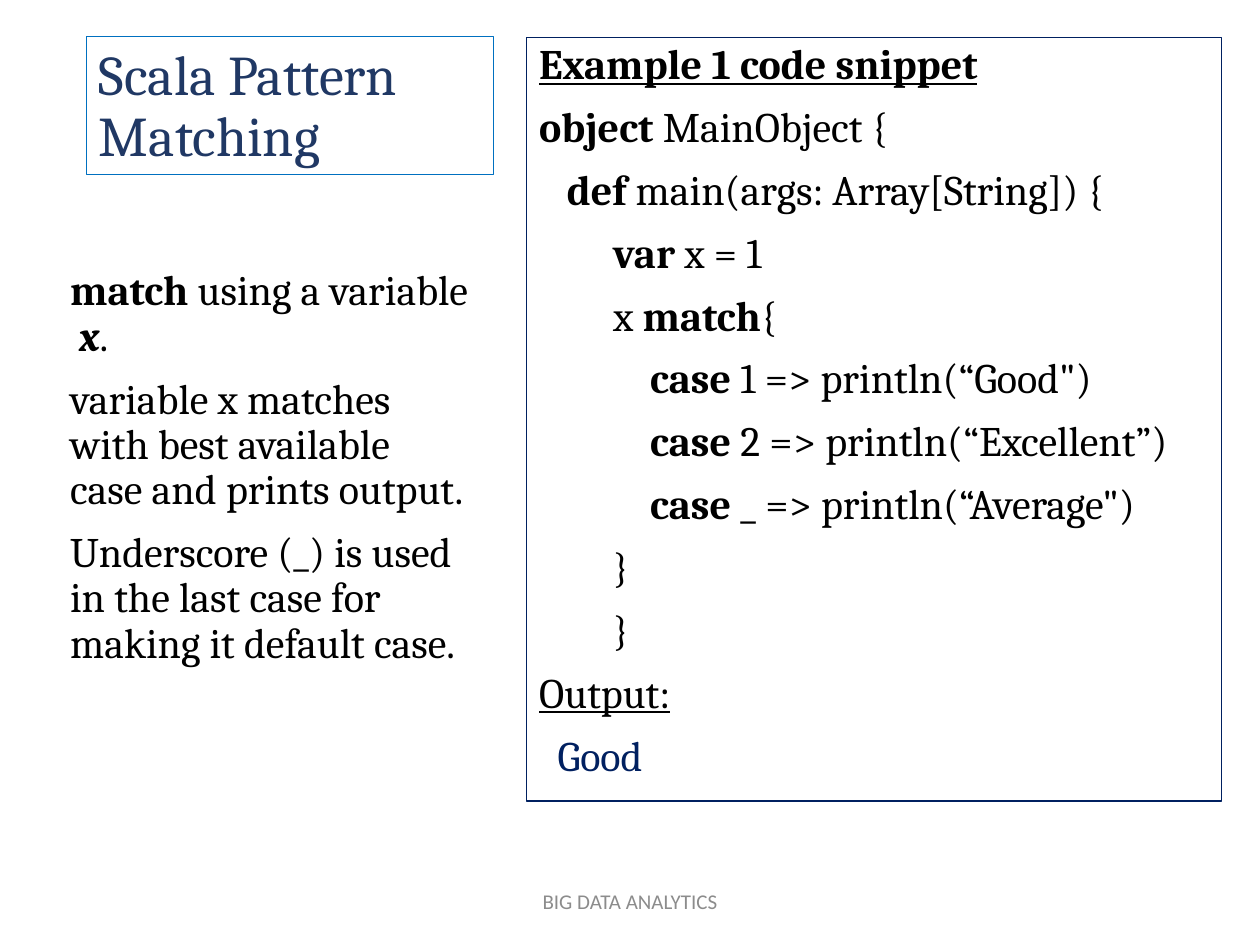
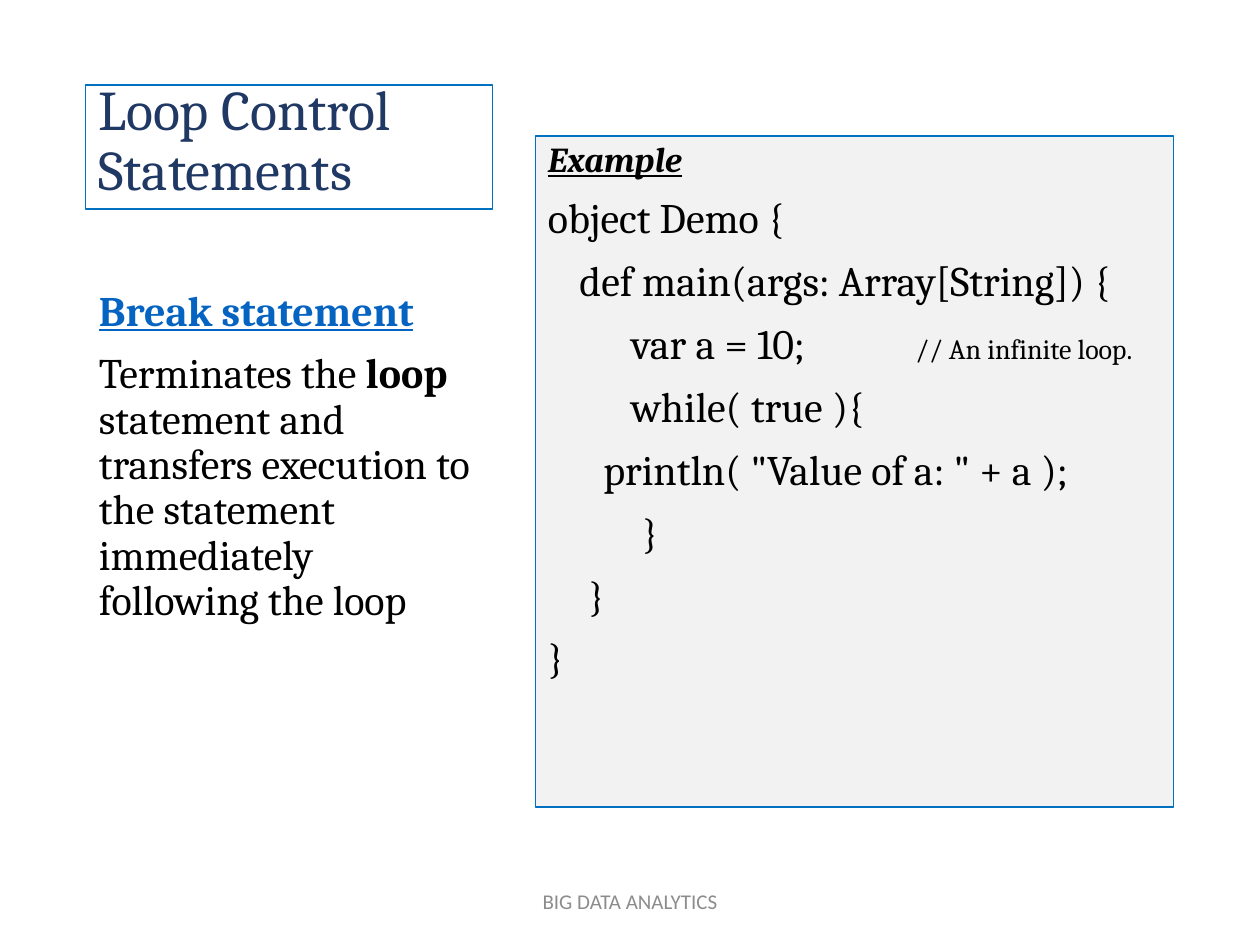
import pptx
import pptx.util
import pptx.dml.color
import pptx.enum.shapes
import pptx.enum.text

Pt = pptx.util.Pt
RGBColor = pptx.dml.color.RGBColor
ANCHOR = pptx.enum.text.MSO_ANCHOR
ALIGN = pptx.enum.text.PP_ALIGN

BLACK = RGBColor(0x00, 0x00, 0x00)
NAVY = RGBColor(0x00, 0x20, 0x60)
TITLE_NAVY = RGBColor(0x20, 0x38, 0x64)
BORDER_BLUE = RGBColor(0x00, 0x70, 0xC0)
HEADING_BLUE = RGBColor(0x05, 0x63, 0xC1)
PANEL_GREY = RGBColor(0xF2, 0xF2, 0xF2)
FOOTER_GREY = RGBColor(0x8C, 0x8C, 0x8C)

BODY_FONT = {"name": "Cambria", "size": Pt(24), "color": BLACK}
TITLE_FONT = {"name": "Cambria", "size": Pt(32), "color": TITLE_NAVY}
FOOTER_FONT = {"name": "Calibri", "size": Pt(12), "color": FOOTER_GREY}
BOLD = {"bold": True}
UNDERLINE = {"underline": True}
HEADING = BOLD | UNDERLINE

MATCH_CODE = [
    [("Example 1 code snippet", HEADING)],
    [("object", BOLD), " MainObject {"],
    ["   ", ("def", BOLD), " main(args: Array[String]) {"],
    ["        ", ("var", BOLD), " x = 1"],
    ["        x ", ("match", BOLD), "{"],
    ["            ", ("case", BOLD), " 1 => println(“Good\")"],
    ["            ", ("case", BOLD), " 2 => println(“Excellent”)"],
    ["            ", ("case", BOLD), " _ => println(“Average\")"],
    ["        }"],
    ["        }"],
    [("Output:", UNDERLINE)],
    [("  Good", {"color": NAVY})],
]
MATCH_NOTES = [
    [("match", BOLD), " using a variable  ", ("x", BOLD | {"italic": True}), "."],
    ["variable x matches with best available case and prints output."],
    ["Underscore (_) is used in the last case for making it default case."],
]
LOOP_CODE = [
    [("Example", HEADING | {"italic": True, "size": Pt(20)})],
    ["object Demo {"],
    ["\tdef main(args: Array[String]) {"],
    ["         var a = 10;            ", ("// An infinite loop.", {"size": Pt(16)})],
    ["         while( true ){"],
    ["      println( \"Value of a: \" + a );"],
    ["  \t\t}"],
    ["\t }"],
    ["}"],
]
BREAK_NOTES = [
    [("Break statement", HEADING | {"color": HEADING_BLUE})],
    ["Terminates the ", ("loop", BOLD),
     " statement and transfers execution to the statement immediately following the loop"],
]


def set_attributes(target, values):
    """Set each named attribute of the target."""
    for name, value in values.items():
        setattr(target, name, value)


def add_run(paragraph, text, values):
    """Add one run with the given font values."""
    run = paragraph.add_run()
    run.text = text
    font_values = dict(values)
    run.font.color.rgb = font_values.pop("color")
    set_attributes(run.font, font_values)


def write_paragraphs(shape, paragraphs, font, anchor=ANCHOR.TOP, hanging=0, **layout):
    """Fill a shape with paragraphs, each a list of plain or styled runs."""
    frame = shape.text_frame
    set_attributes(frame, {"word_wrap": True, "vertical_anchor": anchor})
    layout = {"alignment": ALIGN.LEFT, "line_spacing": 0.9} | layout
    for index, runs in enumerate(paragraphs):
        paragraph = frame.add_paragraph() if index else frame.paragraphs[0]
        set_attributes(paragraph, layout | {"space_before": Pt(10 if index else 0)})
        if hanging:
            properties = paragraph._p.get_or_add_pPr()
            properties.set("marL", str(Pt(hanging)))
            properties.set("indent", str(-Pt(hanging)))
        for run in runs:
            text, style = (run, {}) if isinstance(run, str) else run
            add_run(paragraph, text, font | style)


def add_frame(slide, bounds, border, fill=None):
    """Add a thin bordered rectangle."""
    shape = slide.shapes.add_shape(
        pptx.enum.shapes.MSO_SHAPE.RECTANGLE, *map(Pt, bounds))
    shape.shadow.inherit = False
    shape.line.color.rgb = border
    shape.line.width = Pt(0.75)
    if fill is None:
        shape.fill.background()
    else:
        shape.fill.solid()
        shape.fill.fore_color.rgb = fill
    return shape


def add_title(slide, text, bounds):
    """Add the framed slide title."""
    frame = add_frame(slide, bounds, BORDER_BLUE)
    write_paragraphs(frame, [[text]], TITLE_FONT, ANCHOR.BOTTOM)


def add_code(slide, lines, bounds, border, fill=None):
    """Add a framed code listing."""
    write_paragraphs(add_frame(slide, bounds, border, fill), lines, BODY_FONT, hanging=18)


def add_notes(slide, paragraphs, bounds):
    """Add the explanation beside the code."""
    write_paragraphs(slide.shapes.add_textbox(*map(Pt, bounds)), paragraphs, BODY_FONT)


def add_footer(slide):
    """Add the course name at the foot of the slide."""
    footer = slide.shapes.add_textbox(Pt(238.5), Pt(500.5), Pt(243), Pt(28.75))
    write_paragraphs(footer, [["BIG DATA ANALYTICS"]], FOOTER_FONT, ANCHOR.MIDDLE,
                     alignment=ALIGN.CENTER, line_spacing=1.0)


def add_slide(presentation):
    """Add a blank slide with the shared footer."""
    slide = presentation.slides.add_slide(presentation.slide_layouts[6])
    add_footer(slide)
    return slide


def main():
    """Build both slides and save them."""
    presentation = pptx.Presentation()
    set_attributes(presentation, {"slide_width": Pt(720), "slide_height": Pt(540)})

    pattern_slide = add_slide(presentation)
    add_title(pattern_slide, "Scala Pattern Matching", (49.5, 20.75, 232.5, 79))
    add_code(pattern_slide, MATCH_CODE, (301, 21.25, 397, 436.5), NAVY)
    add_notes(pattern_slide, MATCH_NOTES, (33, 150.5, 243.5, 262.5))

    loop_slide = add_slide(presentation)
    add_title(loop_slide, "Loop Control Statements", (49, 48.5, 232.5, 71))
    add_code(loop_slide, LOOP_CODE, (306, 77.75, 364.5, 383.5), BORDER_BLUE, PANEL_GREY)
    add_notes(loop_slide, BREAK_NOTES, (49.5, 162, 232.5, 300))

    presentation.save("out.pptx")


if __name__ == "__main__":
    main()
